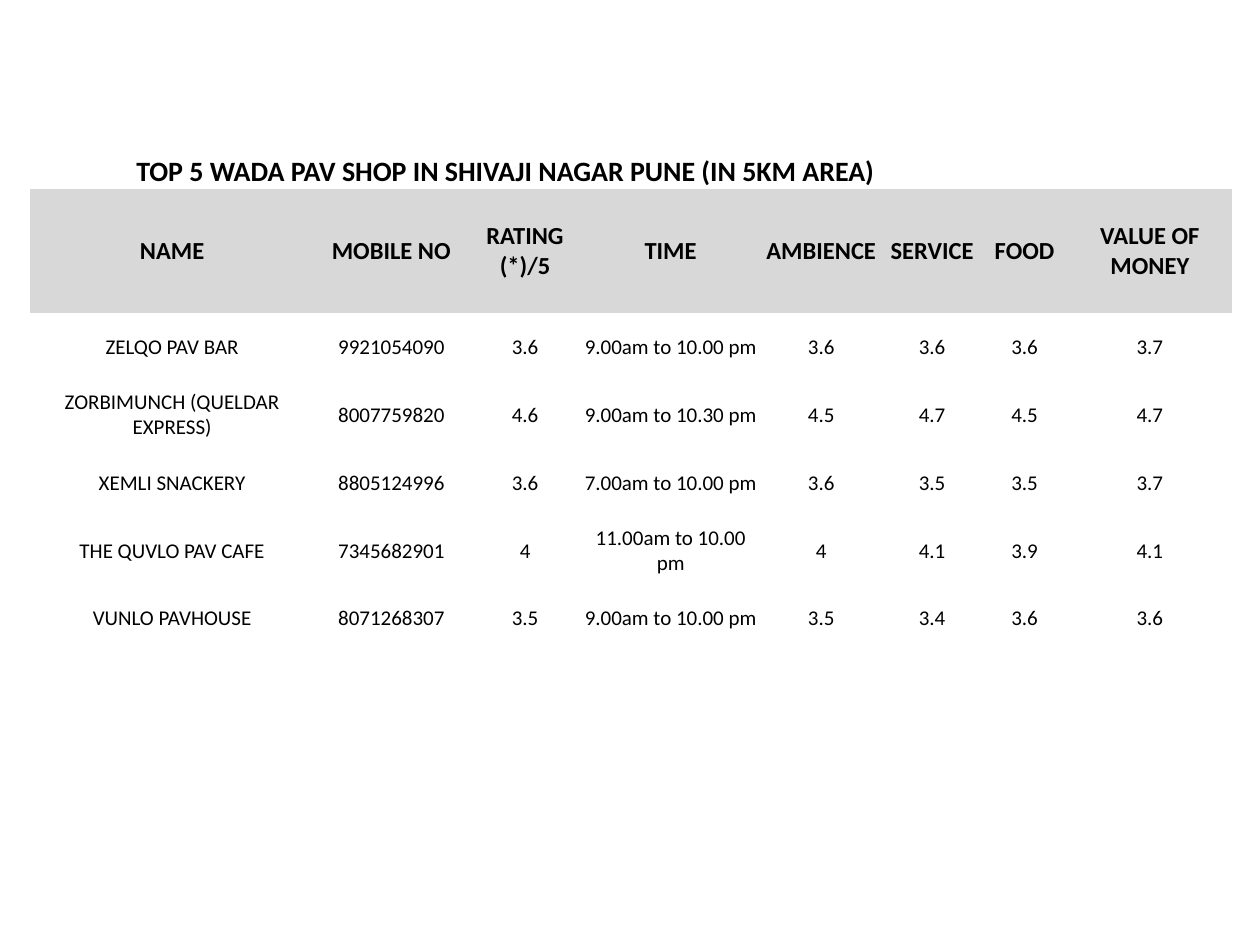
from dataclasses import dataclass

from pptx import Presentation
from pptx.dml.color import RGBColor
from pptx.enum.text import MSO_ANCHOR, PP_ALIGN
from pptx.oxml.ns import qn
from pptx.util import Cm, Pt


@dataclass(frozen=True)
class Theme:
    font: str = "Calibri"
    ink: RGBColor = RGBColor(0x00, 0x00, 0x00)
    header_fill: RGBColor = RGBColor(0xD8, 0xD8, 0xD8)
    title_size: Pt = Pt(16)
    header_size: Pt = Pt(14)
    body_size: Pt = Pt(12)
    table_style: str = "{2D5ABB26-0587-4C30-8999-92F81FD0307C}"  # no style, no grid


THEME = Theme()

TITLE = "TOP 5 WADA PAV SHOP IN SHIVAJI NAGAR PUNE (IN 5KM AREA)"
TITLE_SPAN = 6
HEADERS = ["NAME", "MOBILE NO", "RATING (*)/5", "TIME",
           "AMBIENCE", "SERVICE", "FOOD", "VALUE OF MONEY"]
SHOPS = [
    ["ZELQO PAV BAR", "9921054090", "3.6", "9.00am to 10.00 pm", "3.6", "3.6", "3.6", "3.7"],
    ["ZORBIMUNCH (QUELDAR EXPRESS)", "8007759820", "4.6", "9.00am to 10.30 pm",
     "4.5", "4.7", "4.5", "4.7"],
    ["XEMLI SNACKERY", "8805124996", "3.6", "7.00am to 10.00 pm", "3.6", "3.5", "3.5", "3.7"],
    ["THE QUVLO PAV CAFE", "7345682901", "4", "11.00am to 10.00 pm", "4", "4.1", "3.9", "4.1"],
    ["VUNLO PAVHOUSE", "8071268307", "3.5", "9.00am to 10.00 pm", "3.5", "3.4", "3.6", "3.6"],
]
COLUMN_WIDTHS = [5.74, 3.1, 2.29, 3.58, 2.49, 1.98, 1.75, 3.3]
SHOP_ROW_HEIGHT = 1.37
# Title, header, five shops, then two empty rows
ROW_HEIGHTS = [2.62, 2.49] + [SHOP_ROW_HEIGHT] * (len(SHOPS) + 1) + [2.36]


def write_cell(cell, text, size, bold=False, anchor=MSO_ANCHOR.MIDDLE):
    cell.margin_left = cell.margin_right = cell.margin_top = Cm(0.02)
    cell.margin_bottom = 0
    cell.vertical_anchor = anchor
    paragraph = cell.text_frame.paragraphs[0]
    paragraph.text = text
    paragraph.alignment = PP_ALIGN.CENTER
    font = paragraph.runs[0].font
    font.name = THEME.font
    font.size = size
    font.bold = bold
    font.color.rgb = THEME.ink


prs = Presentation()
prs.slide_width, prs.slide_height = Cm(25.4), Cm(19.05)
slide = prs.slides.add_slide(prs.slide_layouts[6])

ratings = slide.shapes.add_table(
    len(ROW_HEIGHTS), len(COLUMN_WIDTHS), Cm(0.6), Cm(1.19),
    Cm(sum(COLUMN_WIDTHS)), Cm(sum(ROW_HEIGHTS))).table
ratings.first_row = ratings.horz_banding = False
ratings._tbl.tblPr.find(qn("a:tableStyleId")).text = THEME.table_style

for column, width in zip(ratings.columns, COLUMN_WIDTHS):
    column.width = Cm(width)
for row, height in zip(ratings.rows, ROW_HEIGHTS):
    row.height = Cm(height)
for cell in ratings.iter_cells():
    cell.fill.background()

title = ratings.cell(0, 0)
title.merge(ratings.cell(0, TITLE_SPAN - 1))
write_cell(title, TITLE, THEME.title_size, bold=True, anchor=MSO_ANCHOR.BOTTOM)

for col, label in enumerate(HEADERS):
    header = ratings.cell(1, col)
    write_cell(header, label, THEME.header_size, bold=True)
    header.fill.solid()
    header.fill.fore_color.rgb = THEME.header_fill

for row, shop in enumerate(SHOPS, start=2):
    for col, value in enumerate(shop):
        write_cell(ratings.cell(row, col), value, THEME.body_size)

prs.save("out.pptx")
